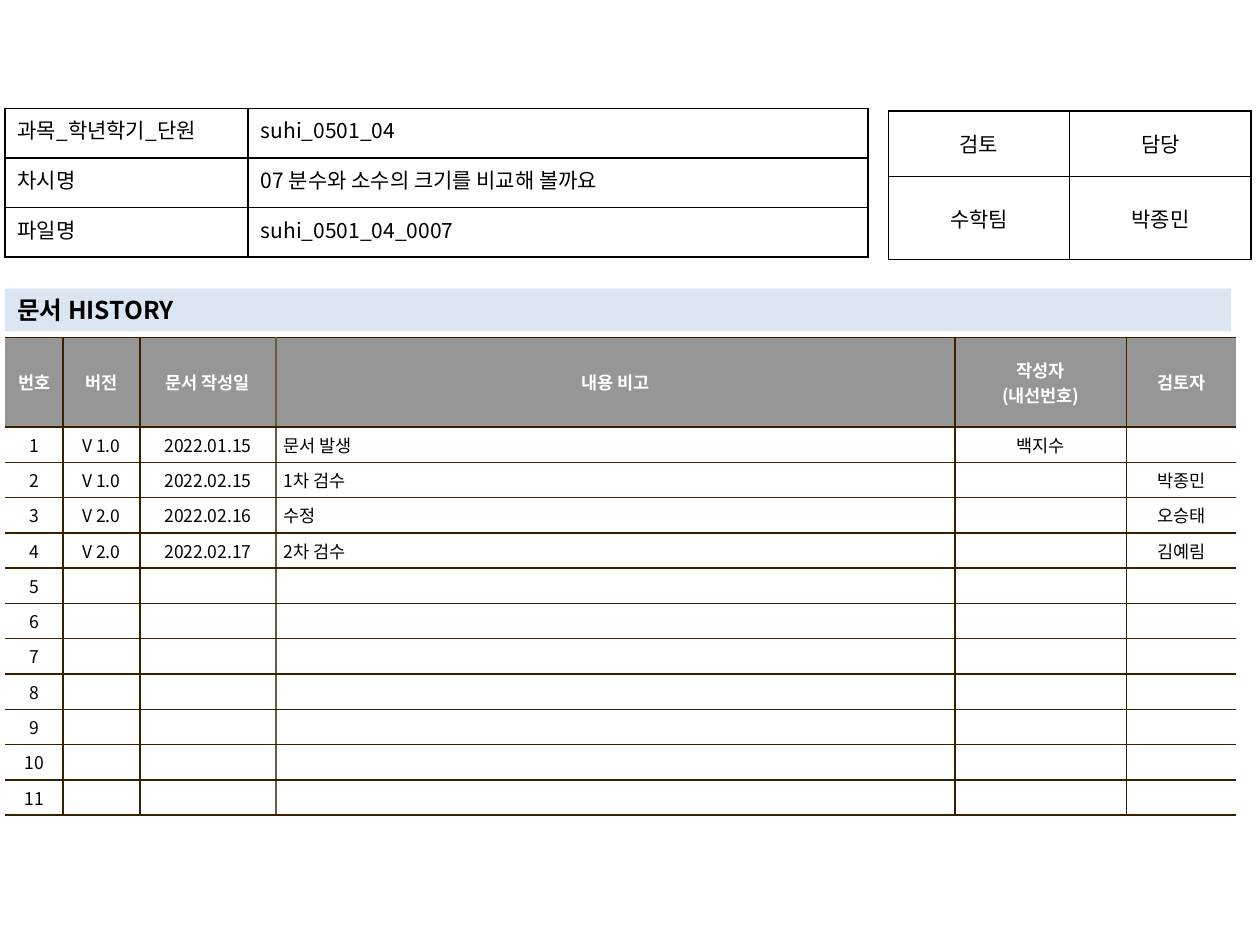
from dataclasses import dataclass

from lxml.etree import SubElement as Sub
from pptx import Presentation
from pptx.dml.color import RGBColor as RGB
from pptx.enum.shapes import MSO_SHAPE as Form
from pptx.enum.text import MSO_ANCHOR as Anchor, PP_ALIGN as Align
from pptx.oxml.ns import qn
from pptx.util import Inches, Pt


@dataclass(frozen=True)
class Theme:
    font: str = "Noto Sans CJK KR"
    ink: str = "000000"
    paper: str = "FFFFFF"
    band: str = "DCE6F2"
    head: str = "969696"
    rule: str = "362000"
    soft: str = "645B4C"
    small: int = 10
    body: int = 12
    title: int = 14


class Sheet:
    """Places elements on a grid of 100 columns by 75 rows."""

    def __init__(self, deck, theme):
        self.theme = theme
        self.unit = deck.slide_width / 100
        self.slide = deck.slides.add_slide(deck.slide_layouts[6])

    def span(self, *sizes):
        return [round(size * self.unit) for size in sizes]

    def style(self, para, size, color, bold=False, align=Align.LEFT):
        para.alignment = align
        font = para.font
        font.name, font.size, font.bold = self.theme.font, Pt(size), bold
        font.color.rgb = RGB.from_string(color)

    def bar(self, text, *box):
        shape = self.slide.shapes.add_shape(Form.RECTANGLE, *self.span(*box))
        shape.shadow.inherit = False
        shape.fill.solid()
        shape.fill.fore_color.rgb = RGB.from_string(self.theme.band)
        shape.line.fill.background()
        frame = shape.text_frame
        frame.text = text
        frame.vertical_anchor = Anchor.MIDDLE
        self.style(frame.paragraphs[0], self.theme.title, self.theme.ink, True)

    def table(self, left, top, cols, rows):
        box = self.span(left, top, sum(cols), sum(rows))
        table = self.slide.shapes.add_table(len(rows), len(cols), *box).table
        table.first_row = table.horz_banding = False
        for col, width in zip(table.columns, self.span(*cols)):
            col.width = width
        for row, height in zip(table.rows, self.span(*rows)):
            row.height = height
        return table

    def cell(self, cell, text, edges, size, color, bold=False,
             align=Align.CENTER, anchor=Anchor.MIDDLE, fill=None, pad=(0.1, 0.05)):
        cell.text = text
        cell.vertical_anchor = anchor
        cell.margin_left = cell.margin_right = Inches(pad[0])
        cell.margin_top = cell.margin_bottom = Inches(pad[1])
        for para in cell.text_frame.paragraphs:
            self.style(para, size, color, bold, align)
        # Borders come before the fill in the cell properties
        props = cell._tc.get_or_add_tcPr()
        for side, edge in zip("LRTB", edges):
            line = Sub(props, qn(f"a:ln{side}"), w=str(Pt(1)))
            if edge:
                solid = Sub(line, qn("a:solidFill"))
                Sub(solid, qn("a:srgbClr"), val=edge)
            else:
                Sub(line, qn("a:noFill"))
        if fill:
            cell.fill.solid()
            cell.fill.fore_color.rgb = RGB.from_string(fill)
        else:
            cell.fill.background()

    def form(self, left, top, cols, rows, data, aligns, anchor):
        look = self.theme
        table = self.table(left, top, cols, rows)
        for r, line in enumerate(data):
            for c, text in enumerate(line):
                self.cell(table.cell(r, c), text, [look.ink] * 4, look.body,
                          look.ink, align=aligns[c], anchor=anchor)

    def log(self, left, top, cols, rows, data, note):
        look = self.theme
        table = self.table(left, top, cols, rows)
        # Open outer sides, softer rule before the note column
        rules = [look.rule] * (len(cols) - 1)
        rules[note - 1] = look.soft
        rules = [None, *rules, None]
        for r, line in enumerate(data):
            head = r == 0
            for c, text in enumerate(line):
                edges = [rules[c], rules[c + 1], look.rule, look.rule]
                align = Align.LEFT if c == note and not head else Align.CENTER
                self.cell(table.cell(r, c), text, edges, look.small,
                          look.paper if head else look.ink, head, align,
                          fill=look.head if head else look.paper, pad=(0.06, 0.04))


INFO = [
    ("과목_학년학기_단원 ", "suhi_0501_04"),
    ("차시명", "07 분수와 소수의 크기를 비교해 볼까요"),
    ("파일명", "suhi_0501_04_0007"),
]
SIGN = [("검토", "담당"), ("수학팀", "박종민")]
HEAD = ("번호", "버전", "문서 작성일", "내용 비고", "작성자\n(내선번호)", "검토자")
LOG = [
    ("V 1.0", "2022.01.15", "문서 발생", "백지수", ""),
    ("V 1.0", "2022.02.15", "1차 검수", "", "박종민"),
    ("V 2.0", "2022.02.16", "수정", "", "오승태"),
    ("V 2.0", "2022.02.17", "2차 검수", "", "김예림"),
]
COUNT = 11


def main():
    deck = Presentation()
    deck.slide_width, deck.slide_height = Inches(10), Inches(7.5)
    sheet = Sheet(deck, Theme())

    # Revision history
    blank = [("",) * 5] * (COUNT - len(LOG))
    lines = [(str(n), *line) for n, line in enumerate(LOG + blank, 1)]
    sheet.log(0.4, 26.8, [4.6, 6.1, 10.8, 53.9, 13.6, 8.7],
              [7.1] + [2.8] * COUNT, [HEAD, *lines], note=3)

    # Sign-off, section title and lesson details
    sheet.form(70.5, 8.8, [14.4] * 2, [5.2, 6.6], SIGN,
               [Align.CENTER] * 2, Anchor.MIDDLE)
    sheet.bar("문서 HISTORY", 0.4, 22.9, 97.3, 3.4)
    sheet.form(0.4, 8.6, [19.3, 49.2], [3.93] * 3, INFO,
               [Align.JUSTIFY, Align.LEFT], Anchor.TOP)

    deck.save("out.pptx")


if __name__ == "__main__":
    main()
